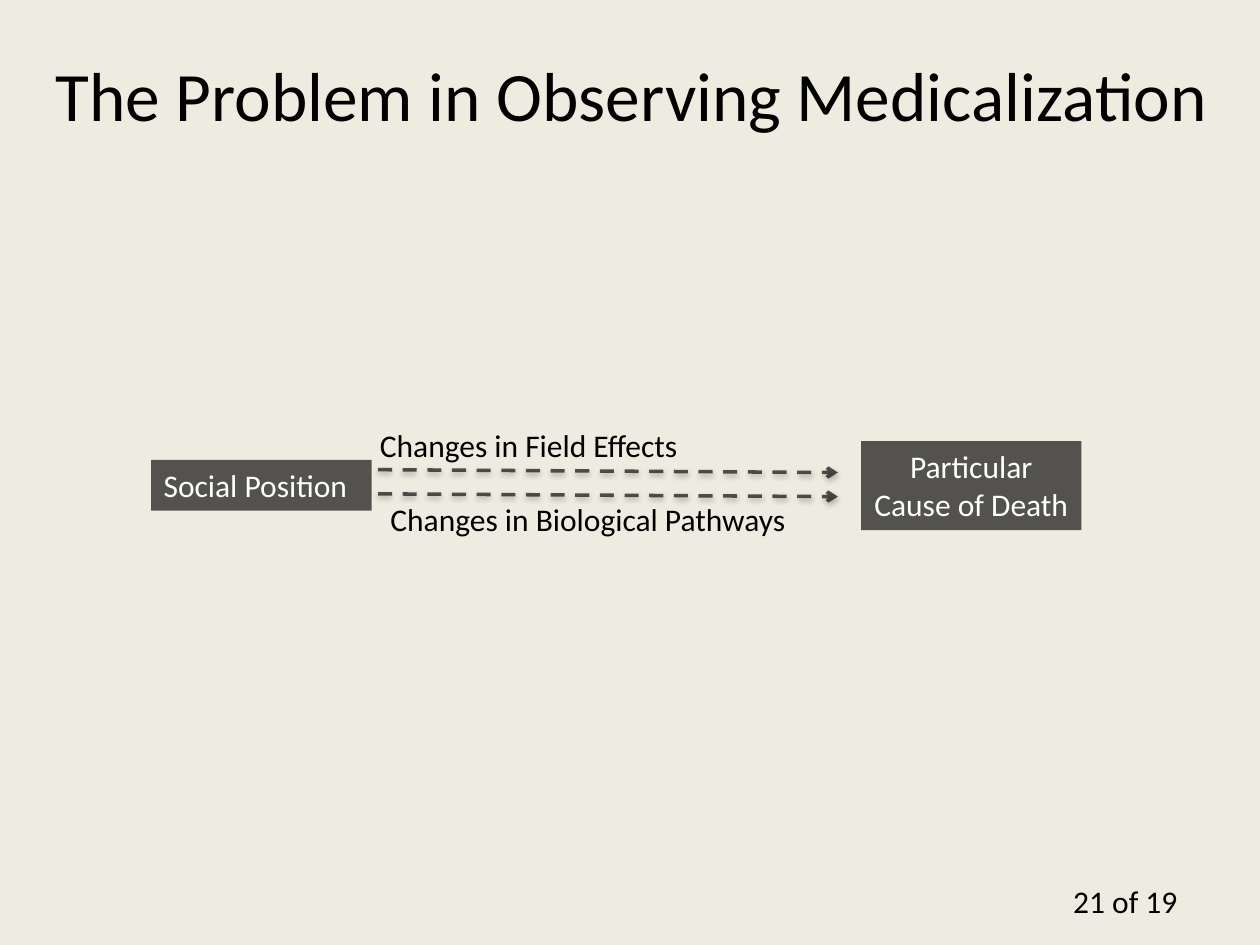
"""Build the slide on the problem in observing medicalization."""
from dataclasses import dataclass
from typing import Optional

from lxml.etree import SubElement
from pptx import Presentation
from pptx.dml.color import RGBColor
from pptx.enum.dml import MSO_LINE_DASH_STYLE as Dash
from pptx.enum.shapes import MSO_CONNECTOR as Connector, MSO_SHAPE as Shape
from pptx.enum.text import MSO_ANCHOR as Anchor, PP_ALIGN as Align
from pptx.oxml import parse_xml
from pptx.oxml.ns import nsdecls, qn
from pptx.util import Pt

BLACK = RGBColor(0x00, 0x00, 0x00)
WHITE = RGBColor(0xFF, 0xFF, 0xFF)
CREAM = RGBColor(0xEE, 0xEC, 0xE1)
OPACITY = "65000"
FONT = "Calibri"


@dataclass
class Label:
    text: str
    left: float
    top: float
    width: float
    height: float = 29
    size: float = 18
    align: Align = Align.LEFT
    anchor: Anchor = Anchor.TOP
    fill: Optional[RGBColor] = None
    color: RGBColor = BLACK


LABELS = [
    Label("The Problem in Observing Medicalization", 15, 21.6, 692, 64, 39.6,
          Align.CENTER, Anchor.MIDDLE),
    Label("Changes in Field Effects", 210, 240, 245),
    Label("Changes in Biological Pathways", 216, 282.2, 245),
    Label("Social Position", 86.4, 262.8, 126, fill=BLACK, color=WHITE),
    Label("Particular Cause of Death", 492, 252, 126, 51, align=Align.CENTER,
          fill=BLACK, color=WHITE),
    Label("21 of 19 ", 516, 500.4, 168, align=Align.RIGHT),
]
ARROW_TOPS = (268.4, 282.2)

SHADOW = (
    f'<a:effectLst {nsdecls("a")}>'
    f'<a:outerShdw blurRad="{Pt(3.1)}" dist="{Pt(1.6)}" dir="5400000" rotWithShape="0">'
    '<a:srgbClr val="000000"><a:alpha val="38000"/></a:srgbClr>'
    '</a:outerShdw></a:effectLst>'
)


def set_opacity(parent) -> None:
    """Make the solid colour inside an element translucent."""
    color = parent.find(qn("a:solidFill")).find(qn("a:srgbClr"))
    SubElement(color, qn("a:alpha"), val=OPACITY)


def add_label(slide, label: Label) -> None:
    """Draw a text box, or a rectangle when the label has a fill."""
    bounds = [Pt(v) for v in (label.left, label.top, label.width, label.height)]
    if label.fill is None:
        shape = slide.shapes.add_textbox(*bounds)
    else:
        shape = slide.shapes.add_shape(Shape.RECTANGLE, *bounds)
        shape.shadow.inherit = False
        shape.fill.solid()
        shape.fill.fore_color.rgb = label.fill
        set_opacity(shape.fill._xPr)
        shape.line.fill.background()
    frame = shape.text_frame
    frame.word_wrap = True
    frame.vertical_anchor = label.anchor
    paragraph = frame.paragraphs[0]
    paragraph.text = label.text
    paragraph.alignment = label.align
    paragraph.font.name = FONT
    paragraph.font.size = Pt(label.size)
    paragraph.font.color.rgb = label.color


def add_arrow(slide, top: float) -> None:
    """Draw a dashed, slightly falling arrow with a soft shadow."""
    arrow = slide.shapes.add_connector(
        Connector.STRAIGHT, Pt(216), Pt(top), Pt(478.8), Pt(top + 1.6))
    arrow.line.width = Pt(2)
    arrow.line.color.rgb = BLACK
    arrow.line.dash_style = Dash.DASH
    line = arrow.line._get_or_add_ln()
    set_opacity(line)
    SubElement(line, qn("a:tailEnd"), type="arrow")
    line.getparent().append(parse_xml(SHADOW))


def main() -> None:
    """Create and save the presentation."""
    presentation = Presentation()
    presentation.slide_width, presentation.slide_height = Pt(720), Pt(540)
    slide = presentation.slides.add_slide(presentation.slide_layouts[6])
    slide.background.fill.solid()
    slide.background.fill.fore_color.rgb = CREAM
    for label in LABELS:
        add_label(slide, label)
    for top in ARROW_TOPS:
        add_arrow(slide, top)
    presentation.save("out.pptx")


main()
